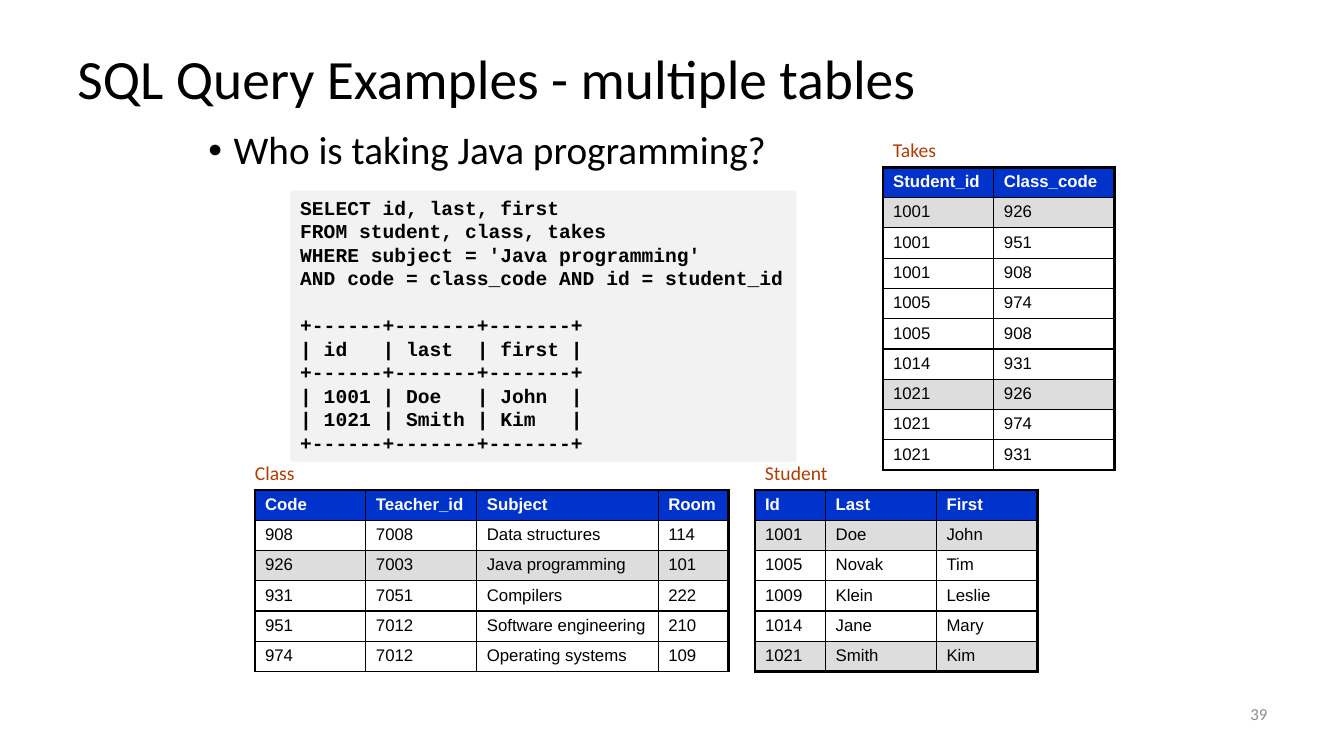
from pptx import Presentation
from pptx.dml.color import RGBColor
from pptx.enum.shapes import MSO_SHAPE
from pptx.enum.text import MSO_ANCHOR, PP_ALIGN
from pptx.oxml import parse_xml
from pptx.oxml.ns import nsdecls
from pptx.util import Inches, Pt


def color(value):
    return RGBColor.from_string(value)


def grid(n):
    """Grid columns and rows are a tenth of an inch."""
    return Inches(n / 10)


def write(p, text, size=12, font="Calibri", fill="000000", bold=False,
          align=PP_ALIGN.LEFT, leading=None, before=None):
    r = p.add_run()
    r.text = text
    r.font.size, r.font.name, r.font.bold = Pt(size), font, bold
    r.font.color.rgb = color(fill)
    p.alignment = align
    if leading:
        p.line_spacing = leading
    if before:
        p.space_before = before


class Deck:
    BLUE, GREY, PANEL, RUST = "0033CC", "DDDDDD", "F2F2F2", "B23C00"
    THIN, THICK = 1, 2.25
    LEADING = Pt(16.8)

    def __init__(self):
        self.prs = Presentation()
        self.prs.slide_width, self.prs.slide_height = grid(133.33), grid(75)
        self.s = self.prs.slides.add_slide(self.prs.slide_layouts[6])

    def text(self, x, y, w, h, text, anchor=MSO_ANCHOR.TOP, wrap=True, **fmt):
        tb = self.s.shapes.add_textbox(grid(x), grid(y), grid(w), grid(h))
        tf = tb.text_frame
        tf.word_wrap, tf.vertical_anchor = wrap, anchor
        write(tf.paragraphs[0], text, **fmt)
        return tf.paragraphs[0]

    def bullet(self, x, y, w, h, text, **fmt):
        pPr = self.text(x, y, w, h, text, **fmt)._p.get_or_add_pPr()
        pPr.set("marL", str(grid(2.5)))
        pPr.set("indent", str(-grid(2.5)))
        pPr.append(parse_xml(f'<a:buFont {nsdecls("a")} typeface="Arial"/>'))
        pPr.append(parse_xml(f'<a:buChar {nsdecls("a")} char="•"/>'))

    def code(self, x, y, w, h, *blocks):
        """Code panel; the blocks are set one line apart."""
        sp = self.s.shapes.add_shape(MSO_SHAPE.RECTANGLE, grid(x), grid(y), grid(w), grid(h))
        sp.shadow.inherit = False
        sp.fill.solid()
        sp.fill.fore_color.rgb = color(self.PANEL)
        sp.line.fill.background()
        tf = sp.text_frame
        tf.word_wrap, tf.vertical_anchor = False, MSO_ANCHOR.TOP
        p = tf.paragraphs[0]
        for b, block in enumerate(blocks):
            for i, line in enumerate(block):
                if b or i:
                    p = tf.add_paragraph()
                write(p, line, size=14, font="Courier New", bold=True, leading=self.LEADING,
                      before=self.LEADING if b and not i else None)

    def borders(self, cell, widths):
        tcPr = cell._tc.get_or_add_tcPr()
        for i, (side, width) in enumerate(zip("LRTB", widths)):
            tcPr.insert(i, parse_xml(
                f'<a:ln{side} {nsdecls("a")} w="{Pt(width)}"><a:solidFill>'
                f'<a:srgbClr val="000000"/></a:solidFill></a:ln{side}>'))

    def table(self, x, y, cols, rows, marked, name, label_w, label_dx=0, bottom=THICK):
        """Named table with a heavy frame, a blue header and marked rows in grey."""
        last_row, last_col = len(rows) - 1, len(cols) - 1
        heights = [3 if 4 <= i < last_row else 2.9 for i in range(len(rows))]
        frame = self.s.shapes.add_table(len(rows), len(cols), grid(x), grid(y),
                                        grid(sum(cols)), grid(sum(heights)))
        t = frame.table
        t.horz_banding = t.first_row = False
        for c, w in enumerate(cols):
            t.columns[c].width = grid(w)
        for i, row in enumerate(rows):
            t.rows[i].height = grid(heights[i])
            for c, value in enumerate(row):
                cell = t.cell(i, c)
                if i == 0 or i in marked:
                    cell.fill.solid()
                    cell.fill.fore_color.rgb = color(self.GREY if i else self.BLUE)
                else:
                    cell.fill.background()
                write(cell.text_frame.paragraphs[0], value, font="Arial",
                      fill="000000" if i else "FFFFFF", bold=i == 0)
                self.borders(cell, (self.THIN if c else self.THICK,
                                    self.THICK if c == last_col else self.THIN,
                                    self.THIN if i else self.THICK,
                                    bottom if i == last_row else self.THIN))
        self.text(x + label_dx, y - 3.4, label_w, 3.4, name, wrap=False, size=14, fill=self.RUST)


def main():
    d = Deck()

    # Title, question and page number
    d.text(6.7, 4.5, 120, 7.2, "SQL Query Examples - multiple tables",
           anchor=MSO_ANCHOR.MIDDLE, size=39.6, leading=0.9)
    d.bullet(19.7, 12.5, 67, 5.3, "Who is taking Java programming?", size=28, leading=0.9)
    d.text(98.9, 68.3, 27.8, 5, "39", anchor=MSO_ANCHOR.MIDDLE, fill="8C8C8C",
           align=PP_ALIGN.RIGHT)

    # Query and its result
    rule = "+------+-------+-------+"
    d.code(28.8, 18.9, 50.2, 26.9,
           ["SELECT id, last, first",
            "FROM student, class, takes",
            "WHERE subject = 'Java programming'",
            "AND code = class_code AND id = student_id"],
           [rule,
            "| id   | last  | first |",
            rule,
            "| 1001 | Doe   | John  |",
            "| 1021 | Smith | Kim   |",
            rule])

    # Source tables
    d.table(74.9, 48.6, [7, 11, 10],
            [("Id", "Last", "First"),
             ("1001", "Doe", "John"),
             ("1005", "Novak", "Tim"),
             ("1009", "Klein", "Leslie"),
             ("1014", "Jane", "Mary"),
             ("1021", "Smith", "Kim")],
            marked={1, 5}, name="Student", label_w=8.3)
    d.table(25.3, 48.6, [11, 11, 18, 7],
            [("Code", "Teacher_id", "Subject", "Room"),
             ("908", "7008", "Data structures", "114"),
             ("926", "7003", "Java programming", "101"),
             ("931", "7051", "Compilers", "222"),
             ("951", "7012", "Software engineering", "210"),
             ("974", "7012", "Operating systems", "109")],
            marked={2}, name="Class", label_w=6, label_dx=-1, bottom=Deck.THIN)
    d.table(87.6, 16.6, [11, 12],
            [("Student_id", "Class_code"),
             ("1001", "926"),
             ("1001", "951"),
             ("1001", "908"),
             ("1005", "974"),
             ("1005", "908"),
             ("1014", "931"),
             ("1021", "926"),
             ("1021", "974"),
             ("1021", "931")],
            marked={1, 7}, name="Takes", label_w=6.4)

    d.prs.save("out.pptx")


if __name__ == "__main__":
    main()
